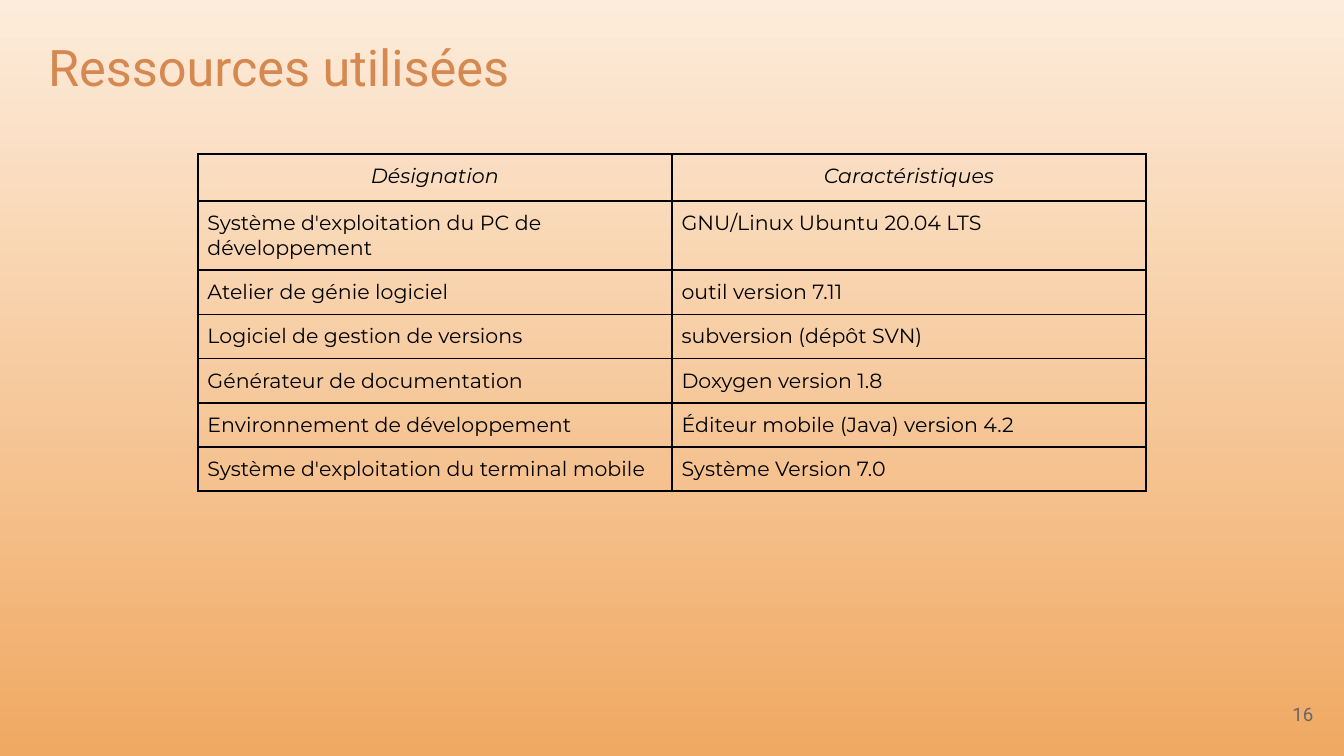
from typing import NamedTuple

from lxml.etree import SubElement
from pptx import Presentation
from pptx.dml.color import RGBColor
from pptx.enum.text import MSO_ANCHOR, MSO_AUTO_SIZE, PP_ALIGN
from pptx.oxml.ns import qn
from pptx.util import Cm, Pt

COLORS = {
    "sky": "FDECDB",
    "ground": "F0A963",
    "title": "D5884F",
    "number": "666666",
    "ink": "000000",
}
TITLE_ONLY = 5
CELL_MARGIN = Cm(0.18)


class Style(NamedTuple):
    font: str
    size: float
    color: str
    align: PP_ALIGN = PP_ALIGN.LEFT
    italic: bool = False


class Resource(NamedTuple):
    designation: str
    features: str
    height: float = 0.82


TITLE = Style("Roboto", 27, "title")
NUMBER = Style("Roboto", 10, "number", PP_ALIGN.RIGHT)
BODY = Style("Montserrat", 11, "ink")
HEADER = BODY._replace(align=PP_ALIGN.CENTER, italic=True)

RESOURCES = [
    Resource("Désignation", "Caractéristiques", 0.89),
    Resource("Système d'exploitation du PC de développement",
             "GNU/Linux Ubuntu 20.04 LTS", 1.28),
    Resource("Atelier de génie logiciel", "outil version 7.11"),
    Resource("Logiciel de gestion de versions", "subversion (dépôt SVN)"),
    Resource("Générateur de documentation", "Doxygen version 1.8"),
    Resource("Environnement de développement", "Éditeur mobile (Java) version 4.2"),
    Resource("Système d'exploitation du terminal mobile", "Système Version 7.0"),
]


def write(frame, text: str, style: Style) -> None:
    para = frame.paragraphs[0]
    para.alignment = style.align
    span = para.add_run()
    span.text = text
    span.font.name = style.font
    span.font.size = Pt(style.size)
    span.font.italic = style.italic
    span.font.color.rgb = RGBColor.from_string(COLORS[style.color])


def fill_box(box, text: str, style: Style, anchor: MSO_ANCHOR) -> None:
    frame = box.text_frame
    frame.word_wrap = True
    frame.auto_size = MSO_AUTO_SIZE.NONE
    frame.vertical_anchor = anchor
    frame.margin_left = frame.margin_right = Cm(0.25)
    frame.margin_top = frame.margin_bottom = Cm(0.25)
    write(frame, text, style)


def outline(cell) -> None:
    """Draw the four borders; they must come before the fill in the XML."""
    properties = cell._tc.get_or_add_tcPr()
    for side in ("a:lnL", "a:lnR", "a:lnT", "a:lnB"):
        line = SubElement(properties, qn(side), w=str(Pt(1)))
        solid = SubElement(line, qn("a:solidFill"))
        SubElement(solid, qn("a:srgbClr"), val=COLORS["ink"])


def add_resources(page) -> None:
    height = Cm(sum(resource.height for resource in RESOURCES))
    table = page.shapes.add_table(
        len(RESOURCES), 2, Cm(3.74), Cm(2.91), Cm(17.92), height).table
    table.first_row = table.horz_banding = False
    for row, resource in enumerate(RESOURCES):
        table.rows[row].height = Cm(resource.height)
        for column, text in enumerate((resource.designation, resource.features)):
            cell = table.cell(row, column)
            cell.margin_left = cell.margin_right = CELL_MARGIN
            cell.margin_top = cell.margin_bottom = CELL_MARGIN
            outline(cell)
            cell.fill.background()
            write(cell.text_frame, text, BODY if row else HEADER)


def paint_background(page) -> None:
    fill = page.background.fill
    fill.gradient()
    fill.gradient_angle = 270
    for stop, name in zip(fill.gradient_stops, ("sky", "ground")):
        stop.color.rgb = RGBColor.from_string(COLORS[name])


def main() -> None:
    deck = Presentation()
    deck.slide_width, deck.slide_height = Cm(25.4), Cm(14.29)
    page = deck.slides.add_slide(deck.slide_layouts[TITLE_ONLY])
    paint_background(page)

    title = page.shapes.title
    title.left, title.top = Cm(0.66), Cm(0.43)
    title.width, title.height = Cm(24.1), Cm(1.68)
    fill_box(title, "Ressources utilisées", TITLE, MSO_ANCHOR.TOP)

    number = page.shapes.add_textbox(Cm(23.55), Cm(12.95), Cm(1.52), Cm(1.09))
    fill_box(number, "16", NUMBER, MSO_ANCHOR.MIDDLE)

    add_resources(page)
    deck.save("out.pptx")


if __name__ == "__main__":
    main()
